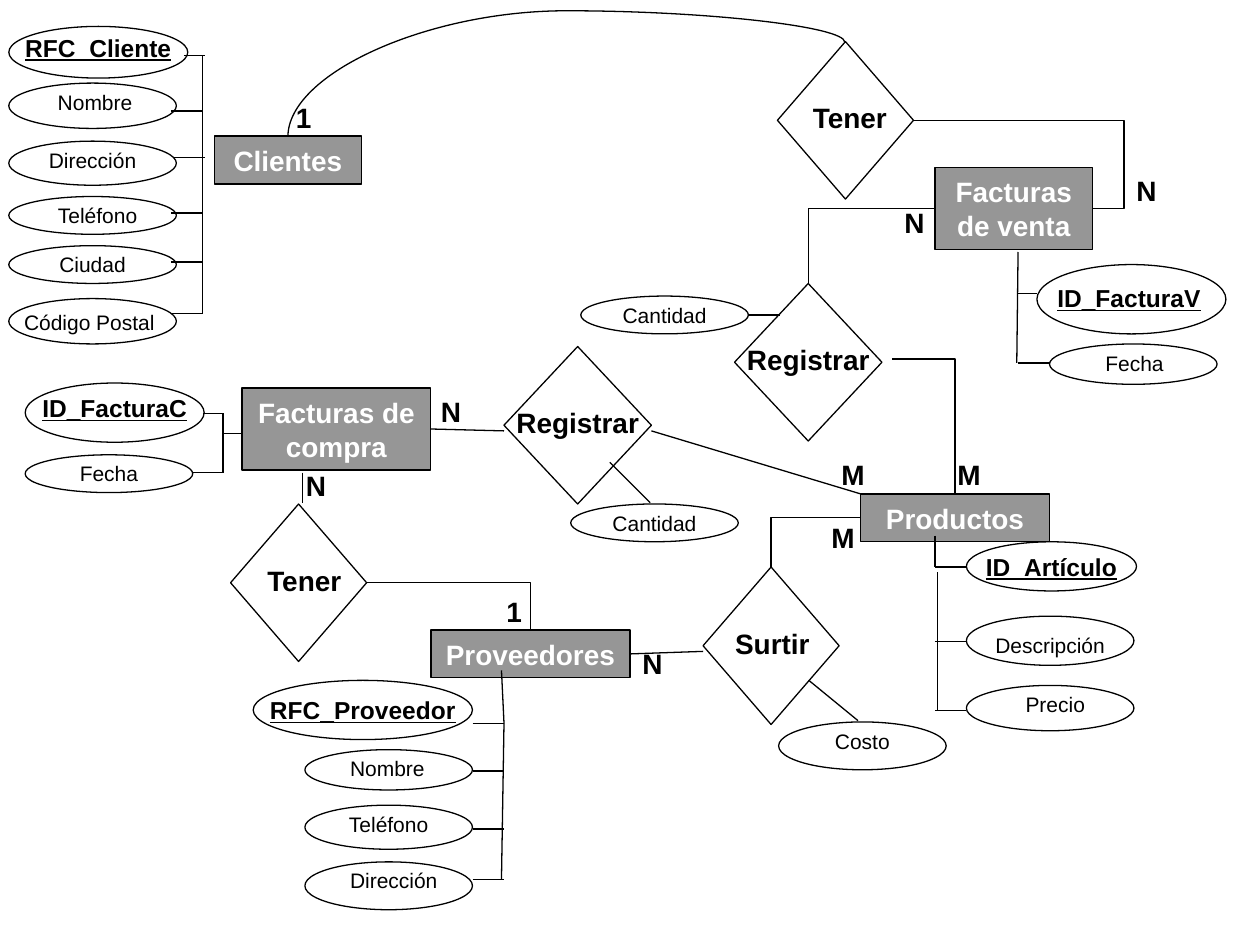
from pptx import Presentation
from pptx import util as u
from pptx.dml.color import RGBColor
from pptx.enum import shapes, text
from pptx.oxml import ns, xmlchemy

KIND = shapes.MSO_SHAPE
LINK = shapes.MSO_CONNECTOR
MID = text.PP_ALIGN.CENTER
LEFT = text.PP_ALIGN.LEFT
INK, GREY, WHITE = "000000", "969696", "FFFFFF"
PLAIN = {"size": u.Pt(12)}
KEY = {"size": u.Pt(14), "bold": True, "underline": True}
HEAD = {"size": u.Pt(16), "bold": True}

ENTITIES = {
    "client": ("Clientes", 1.7, 1.08, 1.17, 0.38),
    "buy": ("Facturas de compra", 1.92, 3.08, 1.5, 0.65),
    "sale": ("Facturas de venta", 7.42, 1.33, 1.25, 0.65),
    "goods": ("Productos", 6.83, 3.92, 1.5, 0.38),
    "vendor": ("Proveedores", 3.42, 5, 1.58, 0.38),
}
RELATIONS = {
    "own": ("Tener", 6.17, 0.33, 1.08, 6.33, 0.83, MID),
    "sell": ("Registrar", 5.83, 2.25, 1.17, 5.83, 1.25, LEFT),
    "order": ("Registrar", 4, 2.75, 1.17, 4, 1.25, LEFT),
    "owe": ("Tener", 1.83, 4, 1.08, 2, 0.83, MID),
    "supply": ("Surtir", 5.58, 4.5, 1.08, 5.67, 0.92, MID),
}
KEYS = [
    ("RFC_Cliente", (0.07, 0.21, 1.42, 0.41), (-0.01, 0.21)),
    ("ID_FacturaV", (8.23, 2.1, 1.5, 0.55), (8.17, 2.2)),
    ("ID_FacturaC", (0.2, 3.04, 1.42, 0.47), (0.12, 3.07)),
]
FULL_KEYS = [
    ("ID_Artículo", (7.67, 4.3, 1.35, 0.39)),
    ("RFC_Proveedor", (2.01, 5.4, 1.74, 0.47)),
]
FIELDS = [
    ("Nombre", 0.07, 0.66, 0.36, 0.17, 0.66, 1.17),
    ("Dirección", 0.07, 1.12, 0.35, 0.15, 1.12, 1.17),
    ("Teléfono", 0.07, 1.56, 0.3, 0.15, 1.56, 1.25),
    ("Ciudad", 0.07, 1.95, 0.3, 0.15, 1.95, 1.17),
    ("Código Postal", 0.07, 2.37, 0.36, -0.04, 2.41, 1.5),
    ("Fecha", 8.33, 2.73, 0.32, 8.42, 2.73, 1.17),
    ("Cantidad", 4.61, 2.35, 0.3, 4.69, 2.35, 1.17),
    ("Descripción", 7.67, 4.89, 0.39, 7.75, 4.97, 1.17),
    ("Precio", 7.67, 5.44, 0.36, 7.75, 5.44, 1.25),
    ("Costo", 6.18, 5.73, 0.38, 6.26, 5.73, 1.17),
    ("Nombre", 2.42, 5.95, 0.32, 2.49, 5.95, 1.17),
    ("Teléfono", 2.42, 6.39, 0.35, 2.5, 6.39, 1.17),
    ("Dirección", 2.42, 6.84, 0.38, 2.5, 6.84, 1.25),
    ("Fecha", 0.2, 3.61, 0.3, 0.28, 3.61, 1.17),
    ("Cantidad", 4.53, 4, 0.3, 4.61, 4, 1.17),
]
COUNTS = [
    ("1", 2.25, 0.75), ("N", 8.92, 1.33), ("N", 7.08, 1.58),
    ("M", 7.5, 3.58), ("N", 5, 5.08), ("M", 6.5, 4.08), ("N", 2.33, 3.67),
    ("1", 3.92, 4.67), ("N", 3.4, 3.08), ("M", 6.58, 3.58),
]
TICKS = [
    (1.46, 1.63, [0.44]), (1.38, 1.63, [1.25]),
    (1.36, 1.61, [0.88, 1.69, 2.08, 2.49]),
    (8.08, 8.23, [2.33]), (8.08, 8.33, [2.88]), (5.94, 6.19, [2.5]),
    (7.42, 7.67, [4.5, 5.09, 5.64]),
    (3.75, 4, [5.74, 6.12, 6.58, 6.98]),
    (1.61, 1.78, [3.28]), (1.53, 1.78, [3.75]), (1.78, 1.93, [3.44]),
]
STEMS = [
    (1.61, 0.44, 1.61, 2.49), (8.08, 2, 8.07, 2.88),
    (7.44, 4.54, 7.44, 5.64), (7.42, 4.25, 7.42, 4.5),
    (3.98, 5.32, 4, 5.74), (4, 5.74, 3.98, 6.98),
    (1.77, 3.28, 1.77, 3.75), (2.4, 3.75, 2.4, 3.99),
    (5.17, 3.42, 6.83, 3.92), (6.42, 5.4, 6.81, 5.72),
    (5.16, 3.99, 4.84, 3.67),
]


def tint(code):
    return RGBColor.from_string(code)


def inch(*nums):
    return [u.Inches(n) for n in nums]


def write(shape, words, form, color=INK, align=MID, wrap=True):
    frame = shape.text_frame
    frame.word_wrap = wrap
    para = frame.paragraphs[0]
    para.alignment = align
    run = para.add_run()
    run.text = words
    for name, value in {"name": "Arial", **form}.items():
        setattr(run.font, name, value)
    run.font.color.rgb = tint(color)


def label(slide, words, box, form, align=MID):
    write(slide.shapes.add_textbox(*inch(*box)), words, form, align=align)


def stroke(item):
    item.line.color.rgb = tint(INK)
    item.line.width = u.Pt(0.75)


def draw(slide, kind, box, fill=None):
    shape = slide.shapes.add_shape(kind, *inch(*box))
    shape.shadow.inherit = False
    stroke(shape)
    if fill:
        shape.fill.solid()
        shape.fill.fore_color.rgb = tint(fill)
    else:
        shape.fill.background()
    return shape


def entity(slide, words, *box):
    shape = draw(slide, KIND.RECTANGLE, box, GREY)
    write(shape, words, HEAD, WHITE)
    return shape


def relation(slide, words, x, y, wide, left, span, align):
    shape = draw(slide, KIND.FLOWCHART_DECISION, (x, y, wide, 1.25))
    label(slide, words, (left, y + 0.42, span, 0.37), HEAD, align)
    return shape


def line(slide, ends, kind=LINK.STRAIGHT):
    link = slide.shapes.add_connector(kind, *inch(*ends))
    stroke(link)
    xmlchemy.OxmlElement  
    link.element.spPr.append(xmlchemy.OxmlElement("a:effectLst"))
    return link


def shape_path(link, preset, bend=None):
    geom = link.element.spPr.find(ns.qn("a:prstGeom"))
    geom.set("prst", preset)
    if bend:
        guide = xmlchemy.OxmlElement("a:gd")
        guide.set("name", "adj1")
        guide.set("fmla", f"val {bend}")
        geom.find(ns.qn("a:avLst")).append(guide)


def join(slide, start, end, kind=LINK.ELBOW):
    link = line(slide, (0, 0, 1, 1), kind)
    link.begin_connect(*start)
    link.end_connect(*end)
    return link


def main():
    deck = Presentation()
    deck.slide_width, deck.slide_height = inch(10, 7.5)
    slide = deck.slides.add_slide(deck.slide_layouts[6])
    node = {k: entity(slide, *v) for k, v in ENTITIES.items()}
    node.update({k: relation(slide, *v) for k, v in RELATIONS.items()})
    for words, box, spot in KEYS:
        draw(slide, KIND.OVAL, box)
        label(slide, words, (*spot, 1.58, 0.33), KEY)
    for words, box in FULL_KEYS:
        write(draw(slide, KIND.OVAL, box), words, KEY, wrap=False)
    for words, x, y, high, left, top, span in FIELDS:
        draw(slide, KIND.OVAL, (x, y, 1.33, high))
        label(slide, words, (left, top, span, 0.3), PLAIN)
    for words, x, y in COUNTS:
        wide = 0.25 if words == "1" else 0.42
        label(slide, words, (x, y, wide, 0.37), HEAD, LEFT)
    for left, right, rows in TICKS:
        for y in rows:
            line(slide, (left, y, right, y))
    for ends in STEMS:
        line(slide, ends)
    for x, y, end, side in [(4, 3.42, "buy", 3), (5.58, 5.17, "vendor", 3)]:
        line(slide, (x, y, x, y)).end_connect(node[end], side)
    for start, out, end, side in [("sale", 1, "sell", 0),
                                  ("goods", 1, "supply", 0),
                                  ("owe", 3, "vendor", 0)]:
        link = join(slide, (node[start], out), (node[end], side))
        shape_path(link, "bentConnector2")
    link = line(slide, (7.08, 2.85, 7.58, 3.92), LINK.ELBOW)
    link.end_connect(node["goods"], 0)
    shape_path(link, "bentConnector2")
    link = join(slide, (node["own"], 3), (node["sale"], 3))
    shape_path(link, "bentConnector3", 117600)
    arc = line(slide, (4.12, -1.5, 4.87, 2.92), LINK.CURVE)
    arc.element.spPr.xfrm.set("rot", "16200000")
    shape_path(arc, "curvedConnector3", 133300)
    deck.save("out.pptx")


if __name__ == "__main__":
    main()
